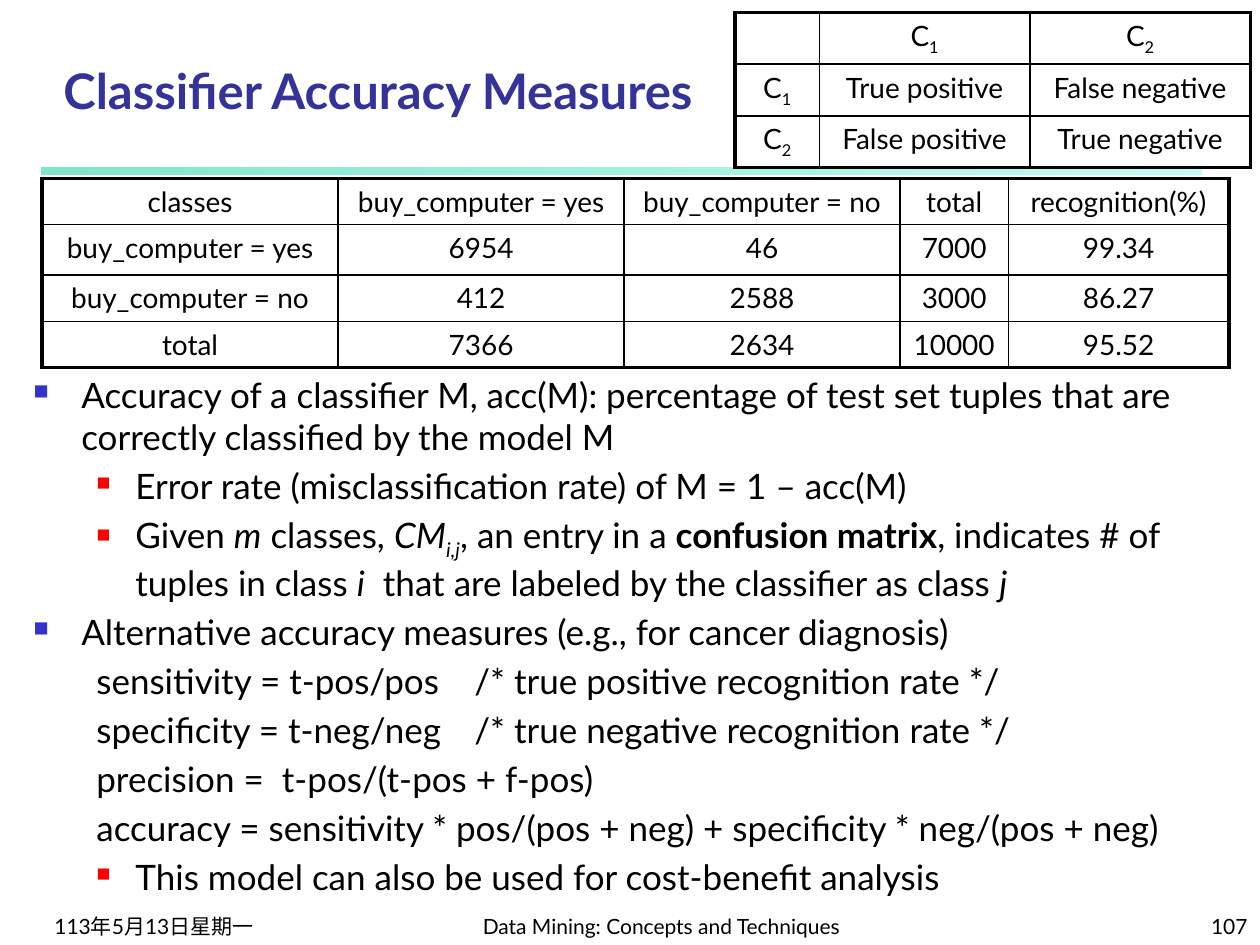
"""Build the slide on classifier accuracy measures."""
import lxml.etree
import pptx
import pptx.dml.color
import pptx.enum.shapes
import pptx.enum.text
import pptx.oxml.ns
import pptx.util

BLACK = pptx.dml.color.RGBColor(0, 0, 0)
NAVY = pptx.dml.color.RGBColor(0x33, 0x33, 0x99)
BLUE = pptx.dml.color.RGBColor(0x33, 0x33, 0xCC)
RED = pptx.dml.color.RGBColor(0xFF, 0, 0)
GREEN = pptx.dml.color.RGBColor(0, 0xCE, 0x98)
AQUA = pptx.dml.color.RGBColor(0x8F, 0xF9, 0xEF)
LEFT, MID, RIGHT = (pptx.enum.text.PP_ALIGN[n] for n in ("LEFT", "CENTER", "RIGHT"))
TOP, LOW = (pptx.enum.text.MSO_ANCHOR[n] for n in ("TOP", "BOTTOM"))

deck = pptx.Presentation()
deck.slide_width = pptx.util.Inches(10)
deck.slide_height = pptx.util.Inches(7.5)
slide = deck.slides.add_slide(deck.slide_layouts[6])
shapes = slide.shapes
UNIT = deck.slide_width // 120
qn = pptx.oxml.ns.qn


def write(para, parts, size, color=BLACK, align=LEFT):
    """Add runs; the marks are b for bold, i for italic, s for subscript."""
    para.alignment = align
    for text, marks in parts:
        run = para.add_run()
        run.text = text
        font = run.font
        font.name = "Lato"
        font.size = pptx.util.Pt(size)
        font.color.rgb = color
        font.bold = "b" in marks
        font.italic = "i" in marks
        if "s" in marks:
            run._r.get_or_add_rPr().set("baseline", "-25000")


def frame(area, anchor):
    """Add a text box placed in grid units."""
    text = shapes.add_textbox(*(int(n * UNIT) for n in area)).text_frame
    text.word_wrap = True
    text.vertical_anchor = anchor
    return text


bar = shapes.add_shape(pptx.enum.shapes.MSO_SHAPE.RECTANGLE,
                       *(int(n * UNIT) for n in (4, 16, 110.4, 0.6)))
bar.shadow.inherit = False
bar.line.fill.background()
bar.fill.gradient()
bar.fill.gradient_angle = 0
for stop, color, share in zip(bar.fill.gradient_stops, (GREEN, AQUA), (50, 52)):
    stop.color.rgb = color
for tint, share in zip(bar._element.iter(qn("a:srgbClr")), (50, 52)):
    lxml.etree.SubElement(tint, qn("a:alpha"), val=str(share * 1000))

for area, text, size, color, align, marks in (
    ((4, 85, 25, 5), "113年5月13日星期一", 12, BLACK, LEFT, ""),
    ((44, 85, 38, 5), "Data Mining: Concepts and Techniques", 12, BLACK, MID, ""),
    ((95, 85, 25, 5), "107", 12, BLACK, RIGHT, ""),
    ((0, 5, 72, 7), "Classifier Accuracy Measures", 28, NAVY, MID, "b"),
):
    write(frame(area, LOW).paragraphs[0], [(text, marks)], size, color, align)

MAIN = (0.38, -0.38, BLUE, 60)
SUB = (0.81, -0.31, RED, 55)
RULE = (0, 0.5, None, 0)
points = (
    (MAIN, [("Accuracy of a classifier M, acc(M): percentage of test set tuples "
             "that are correctly classified by the model M", "")]),
    (SUB, [("Error rate (misclassification rate) of M = 1 – acc(M)", "")]),
    (SUB, [("Given ", ""), ("m", "i"), (" classes, ", ""), ("CM", "i"), ("i,j", "is"),
           (", an entry in a ", ""), ("confusion matrix", "b"),
           (", indicates # of tuples in class ", ""), ("i", "i"),
           ("  that are labeled by the classifier as class ", ""), ("j", "i")]),
    (MAIN, [("Alternative accuracy measures (e.g., for cancer diagnosis)", "")]),
    (RULE, [("sensitivity = t-pos/pos\t/* true positive recognition rate */", "")]),
    (RULE, [("specificity = t-neg/neg\t/* true negative recognition rate */", "")]),
    (RULE, [("precision =  t-pos/(t-pos + f-pos)", "")]),
    (RULE, [("accuracy = sensitivity * pos/(pos + neg) + specificity * neg/(pos + neg)", "")]),
    (SUB, [("This model can also be used for cost-benefit analysis", "")]),
)
body = frame((2, 35, 116, 50), TOP)
for num, ((edge, dent, color, share), parts) in enumerate(points):
    para = body.add_paragraph() if num else body.paragraphs[0]
    write(para, parts, 20)
    para.space_before = pptx.util.Pt(4)
    props = para._p.get_or_add_pPr()
    props.set("marL", str(pptx.util.Inches(edge)))
    props.set("indent", str(pptx.util.Inches(dent)))
    if color:
        tint = lxml.etree.SubElement(props, qn("a:buClr"))
        lxml.etree.SubElement(tint, qn("a:srgbClr"), val=str(color))
        lxml.etree.SubElement(props, qn("a:buSzPct"), val=str(share * 1000))
        lxml.etree.SubElement(props, qn("a:buChar"), char="■")
    else:
        lxml.etree.SubElement(props, qn("a:buNone"))
        tabs = lxml.etree.SubElement(props, qn("a:tabLst"))
        lxml.etree.SubElement(tabs, qn("a:tab"), pos=str(pptx.util.Inches(4.15)), algn="l")

YES, NO = "buy_computer = yes", "buy_computer = no"
grids = (
    ((4, 17), (2.35, 2.27, 2.19, 0.86, 1.75), (0.36, 0.4, 0.36, 0.36), (
        ("classes", YES, NO, "total", "recognition(%)"),
        (YES, "6954", "46", "7000", "99.34"),
        (NO, "412", "2588", "3000", "86.27"),
        ("total", "7366", "2634", "10000", "95.52"))),
    ((70, 1.2), (0.67, 1.67, 1.75), (0.41, 0.41, 0.41), (
        ("", "C1", "C2"),
        ("C1", "True positive", "False negative"),
        ("C2", "False positive", "True negative"))),
)
for (left, top), wide, high, rows in grids:
    table = shapes.add_table(len(high), len(wide), int(left * UNIT), int(top * UNIT),
                             pptx.util.Inches(sum(wide)), pptx.util.Inches(sum(high))).table
    table.first_row = table.horz_banding = False
    for col, size in zip(table.columns, wide):
        col.width = pptx.util.Inches(size)
    for y, (row, size) in enumerate(zip(table.rows, high)):
        row.height = pptx.util.Inches(size)
        for x, cell in enumerate(row.cells):
            text = rows[y][x]
            parts = [("C", ""), (text[1], "s")] if text in ("C1", "C2") else [(text, "")]
            write(cell.text_frame.paragraphs[0], parts if text else [], 16, align=MID)
            props = cell._tc.get_or_add_tcPr()
            for side, outer in (("L", x == 0), ("R", x == len(wide) - 1),
                                ("T", y == 0), ("B", y == len(high) - 1)):
                line = lxml.etree.SubElement(props, qn("a:ln" + side),
                                             w=str(pptx.util.Pt(2.25 if outer else 1)))
                fill = lxml.etree.SubElement(line, qn("a:solidFill"))
                lxml.etree.SubElement(fill, qn("a:srgbClr"), val=str(BLACK))
            cell.fill.background()

deck.save("out.pptx")
